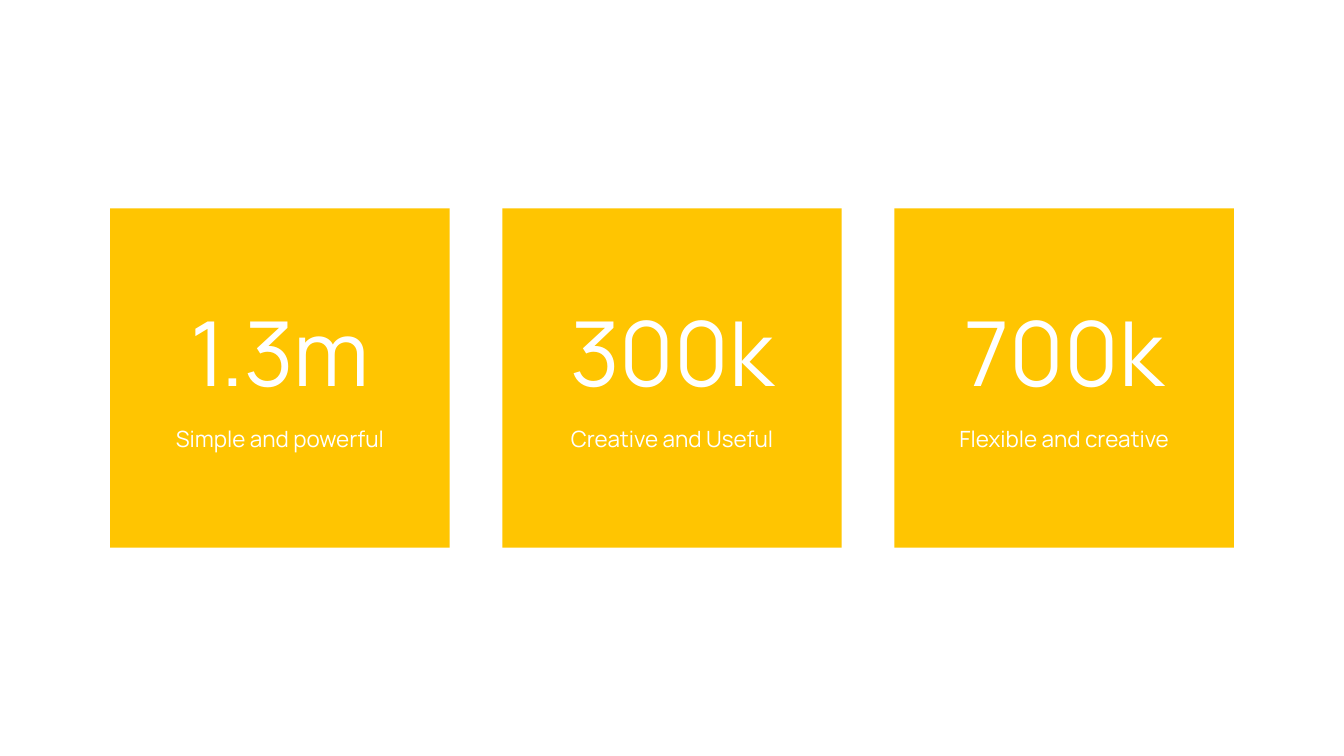
from pptx import Presentation
from pptx.dml.color import RGBColor
from pptx.enum.shapes import MSO_SHAPE
from pptx.enum.text import MSO_ANCHOR, MSO_AUTO_SIZE, PP_ALIGN
from pptx.util import Inches, Pt

RECTANGLE = MSO_SHAPE.RECTANGLE
MIDDLE, TOP = MSO_ANCHOR.MIDDLE, MSO_ANCHOR.TOP
GROW, FIXED = MSO_AUTO_SIZE.SHAPE_TO_FIT_TEXT, MSO_AUTO_SIZE.NONE
CENTER = PP_ALIGN.CENTER

STATS = [
    ("1.3m", "Simple and powerful"),
    ("300k", "Creative and Useful"),
    ("700k", "Flexible and creative"),
]

THEME = {
    "font": "Manrope",
    "card": RGBColor.from_string("FFC501"),
    "text": RGBColor.from_string("FFFFFF"),
    "number_size": Pt(96),
    "caption_size": Pt(24),
}

SLIDE_WIDTH, SLIDE_HEIGHT = 20, 11.25
MARGIN, CARD_SIZE = 1.64, 5.05
CARD_TOP = (SLIDE_HEIGHT - CARD_SIZE) / 2
GAP = (SLIDE_WIDTH - 2 * MARGIN - len(STATS) * CARD_SIZE) / (len(STATS) - 1)

NUMBER = {
    "top": 3.99, "width": 4.45, "height": 2.47,
    "size": THEME["number_size"],
    "frame": {
        "vertical_anchor": MIDDLE, "auto_size": FIXED, "word_wrap": True,
        "margin_left": 0, "margin_top": 0, "margin_right": 0, "margin_bottom": 0,
    },
    "para": {"alignment": CENTER},
}
CAPTION = {
    "top": 6.28, "width": 3.6, "height": 0.5,
    "size": THEME["caption_size"],
    "frame": {"vertical_anchor": TOP, "auto_size": GROW, "word_wrap": True},
    "para": {"alignment": CENTER, "space_before": Pt(24)},
}


def set_values(target, values):
    for name, value in values.items():
        setattr(target, name, value)


def add_centered_text(shapes, text, center, style):
    box = shapes.add_textbox(
        Inches(center - style["width"] / 2), Inches(style["top"]),
        Inches(style["width"]), Inches(style["height"]),
    )
    set_values(box.text_frame, style["frame"])
    para = box.text_frame.paragraphs[0]
    set_values(para, style["para"])
    span = para.add_run()
    span.text = text
    set_values(span.font, {"name": THEME["font"], "size": style["size"]})
    span.font.color.rgb = THEME["text"]


def add_stat_card(slide, left, number, caption):
    shapes = slide.shapes.add_group_shape().shapes
    card = shapes.add_shape(
        RECTANGLE, Inches(left), Inches(CARD_TOP), Inches(CARD_SIZE), Inches(CARD_SIZE)
    )
    card.shadow.inherit = False
    card.fill.solid()
    card.fill.fore_color.rgb = THEME["card"]
    card.line.fill.background()
    center = left + CARD_SIZE / 2
    add_centered_text(shapes, number, center, NUMBER)
    add_centered_text(shapes, caption, center, CAPTION)


def main():
    deck = Presentation()
    deck.slide_width, deck.slide_height = Inches(SLIDE_WIDTH), Inches(SLIDE_HEIGHT)
    blank_layout = deck.slide_layouts[6]
    slide = deck.slides.add_slide(blank_layout)
    for index, (number, caption) in enumerate(STATS):
        add_stat_card(slide, MARGIN + index * (CARD_SIZE + GAP), number, caption)
    deck.save("out.pptx")


if __name__ == "__main__":
    main()
